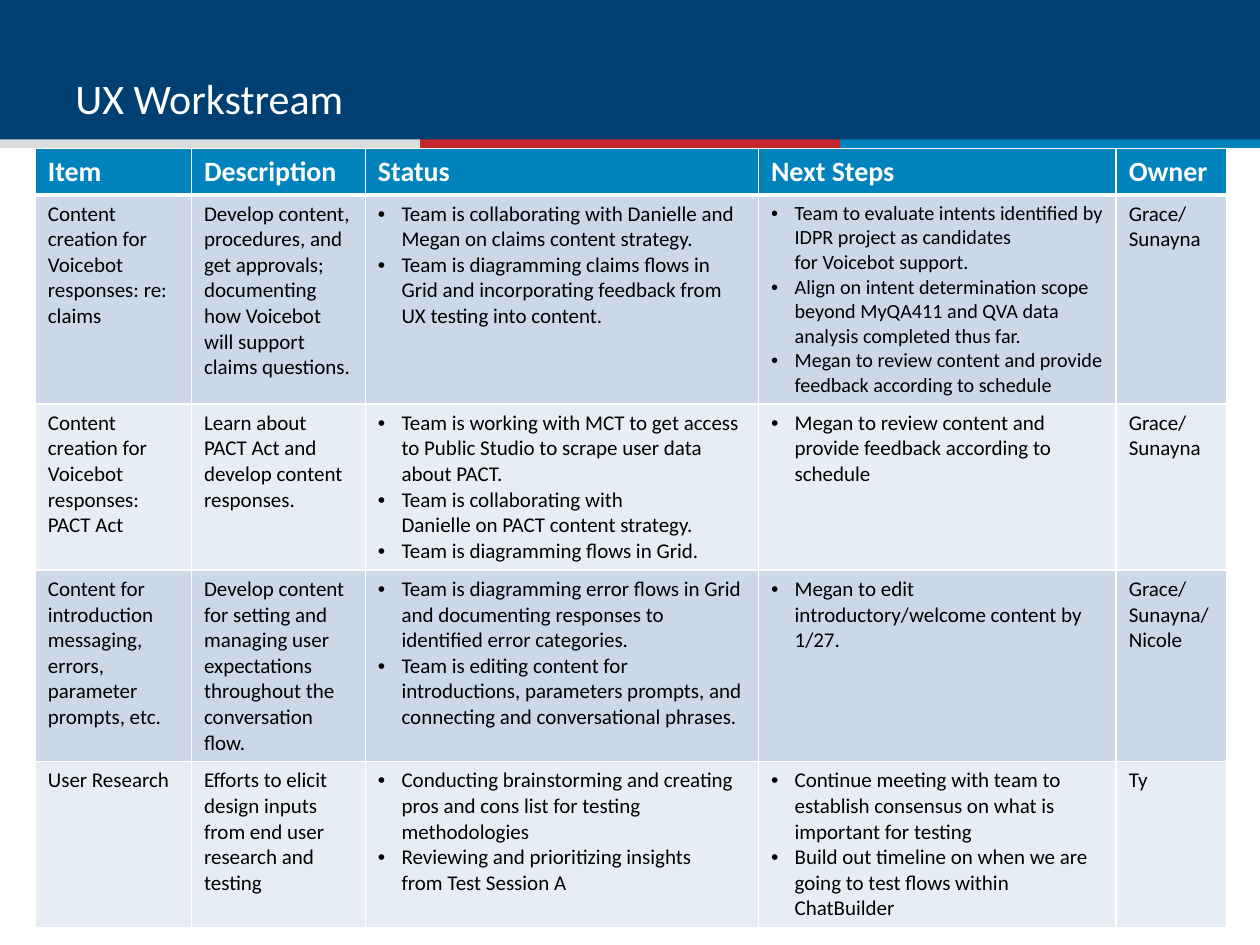
from collections import namedtuple

from lxml import etree
from pptx import Presentation
from pptx import util as u
from pptx.dml.color import RGBColor
from pptx.enum import shapes, text
from pptx.oxml.ns import qn

Box = namedtuple("Box", "left top width height")

WIDTH, HEIGHT = u.Inches(10), u.Inches(7.5)
FONT = "Calibri"
TIE, HARD_SPACE = "~", chr(160)
COLORS = {
    "navy": "003F72", "gray": "DBDCDE", "red": "C6262D", "blue": "0082BD",
    "white": "FFFFFF", "black": "000000", "band_dark": "CCD8E8", "band_light": "E7EDF4",
}
BULLETED_COLUMNS = (2, 3)
COLUMN_WEIGHTS = (1.24, 1.38, 3.12, 2.84, 0.88)
ROW_WEIGHTS = (0.37, 1.66, 1.32, 1.52, 1.32)
HEADINGS = ("Item", "Description", "Status", "Next Steps", "Owner")
ITEMS = (
    (
        ["Content creation for Voicebot responses: re: claims"],
        ["Develop content, procedures, and get approvals; documenting how Voicebot "
         "will support claims questions."],
        ["Team is collaborating with Danielle and Megan on claims content strategy.",
         "Team is diagramming claims flows in Grid and~incorporating~feedback from "
         "UX testing into content."],
        ["Team~to evaluate intents identified by IDPR project as candidates "
         "for~Voicebot support.",
         "Align on intent determination scope beyond MyQA411 and QVA data analysis "
         "completed thus far.",
         "Megan to review content and~provide feedback according to~schedule"],
        ["Grace/ Sunayna"],
    ),
    (
        ["Content creation~for Voicebot responses: PACT Act"],
        ["Learn about PACT Act and develop content responses."],
        ["Team is working with MCT to get access to Public Studio to scrape user data "
         "about PACT.",
         "Team is collaborating with Danielle~on~PACT content~strategy.",
         "Team is diagramming flows in Grid."],
        ["Megan to review content and provide feedback according to schedule"],
        ["Grace/", "Sunayna"],
    ),
    (
        ["Content for introduction messaging, errors, parameter prompts, etc."],
        ["Develop content for setting and managing user expectations throughout the "
         "conversation flow."],
        ["Team is diagramming error flows in Grid and documenting responses to "
         "identified error categories.",
         "Team is editing content for introductions, parameters prompts, and "
         "connecting and conversational phrases."],
        ["Megan to edit introductory/welcome content by 1/27."],
        ["Grace/", "Sunayna/", "Nicole"],
    ),
    (
        ["User Research"],
        ["Efforts to elicit design inputs from end user research and testing"],
        ["Conducting brainstorming and creating pros and cons list for testing "
         "methodologies",
         "Reviewing and prioritizing insights from~Test Session A"],
        ["Continue meeting with team to establish consensus on what is important "
         "for testing",
         "Build out timeline on when we are going to test flows within ChatBuilder"],
        ["Ty"],
    ),
)


def share_box(left, top, width, height):
    return Box(int(left * WIDTH), int(top * HEIGHT), int(width * WIDTH), int(height * HEIGHT))


def color(name):
    return RGBColor.from_string(COLORS[name])


def format_runs(frame, size, color_name, bold=False):
    for paragraph in frame.paragraphs:
        for run in paragraph.runs:
            run.font.name = FONT
            run.font.size = u.Pt(size)
            run.font.bold = bold
            run.font.color.rgb = color(color_name)


def add_bar(slide, box, color_name):
    shape = slide.shapes.add_shape(shapes.MSO_SHAPE.RECTANGLE, *box)
    shape.shadow.inherit = False
    shape.fill.solid()
    shape.fill.fore_color.rgb = color(color_name)
    shape.line.fill.background()


def add_header(slide, box):
    add_bar(slide, box, "navy")
    stripe_width = box.width // 3
    stripe_top = box.top + int(box.height * 0.97)
    for index, name in enumerate(("gray", "red", "blue")):
        stripe = Box(box.left + index * stripe_width, stripe_top,
                     stripe_width, int(box.height * 0.06))
        add_bar(slide, stripe, name)


def add_title(slide, box, title):
    frame = slide.shapes.add_textbox(*box).text_frame
    frame.word_wrap = True
    frame.vertical_anchor = text.MSO_ANCHOR.BOTTOM
    frame.text = title
    format_runs(frame, 24, "white")


def add_borders(cell, bottom_width=1, top_width=1):
    properties = cell._tc.get_or_add_tcPr()
    widths = {"a:lnL": 1, "a:lnR": 1, "a:lnT": top_width, "a:lnB": bottom_width}
    for tag, width in widths.items():
        line = etree.SubElement(properties, qn(tag), w=str(u.Pt(width)))
        fill = etree.SubElement(line, qn("a:solidFill"))
        etree.SubElement(fill, qn("a:srgbClr"), val=COLORS["white"])


def add_bullet(paragraph):
    properties = paragraph._p.get_or_add_pPr()
    indent = u.Pt(13.5)
    properties.set("marL", str(indent))
    properties.set("indent", str(-indent))
    etree.SubElement(properties, qn("a:buFont"), typeface="Arial")
    etree.SubElement(properties, qn("a:buChar"), char="•")


def fill_cell(cell, paragraphs, fill_name):
    cell.text_frame.text = "\n".join(paragraphs).replace(TIE, HARD_SPACE)
    cell.fill.solid()
    cell.fill.fore_color.rgb = color(fill_name)


def add_workstream_table(slide, box):
    table = slide.shapes.add_table(len(ROW_WEIGHTS), len(COLUMN_WEIGHTS), *box).table
    for column, weight in zip(table.columns, COLUMN_WEIGHTS):
        column.width = int(box.width * weight / sum(COLUMN_WEIGHTS))
    for row, weight in zip(table.rows, ROW_WEIGHTS):
        row.height = int(box.height * weight / sum(ROW_WEIGHTS))

    for column_index, heading in enumerate(HEADINGS):
        cell = table.cell(0, column_index)
        add_borders(cell, bottom_width=3)
        fill_cell(cell, [heading], "blue")
        format_runs(cell.text_frame, 16, "white", bold=True)

    for row_index, item in enumerate(ITEMS, start=1):
        band = "band_dark" if row_index % 2 else "band_light"
        for column_index, paragraphs in enumerate(item):
            cell = table.cell(row_index, column_index)
            add_borders(cell, top_width=3 if row_index == 1 else 1)
            fill_cell(cell, paragraphs, band)
            if column_index in BULLETED_COLUMNS:
                for paragraph in cell.text_frame.paragraphs:
                    add_bullet(paragraph)
            size = 11.5 if len(paragraphs) == 3 and column_index == 3 else 12
            format_runs(cell.text_frame, size, "black")


def main():
    presentation = Presentation()
    presentation.slide_width, presentation.slide_height = WIDTH, HEIGHT
    slide = presentation.slides.add_slide(presentation.slide_layouts[6])
    add_header(slide, share_box(0, 0, 1, 0.152))
    add_title(slide, share_box(0.05, 0.017, 0.9, 0.12), "UX Workstream")
    add_workstream_table(slide, share_box(0.028, 0.157, 0.946, 0.825))
    presentation.save("out.pptx")


if __name__ == "__main__":
    main()
